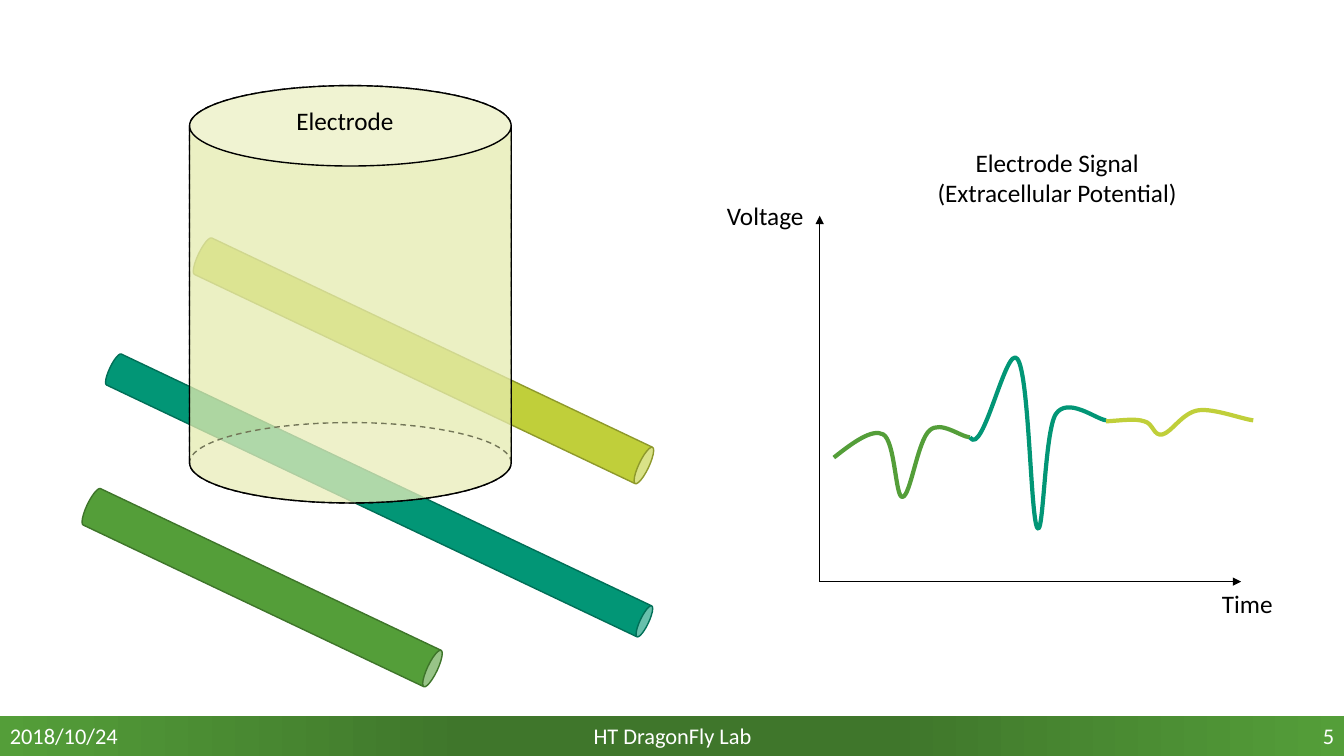
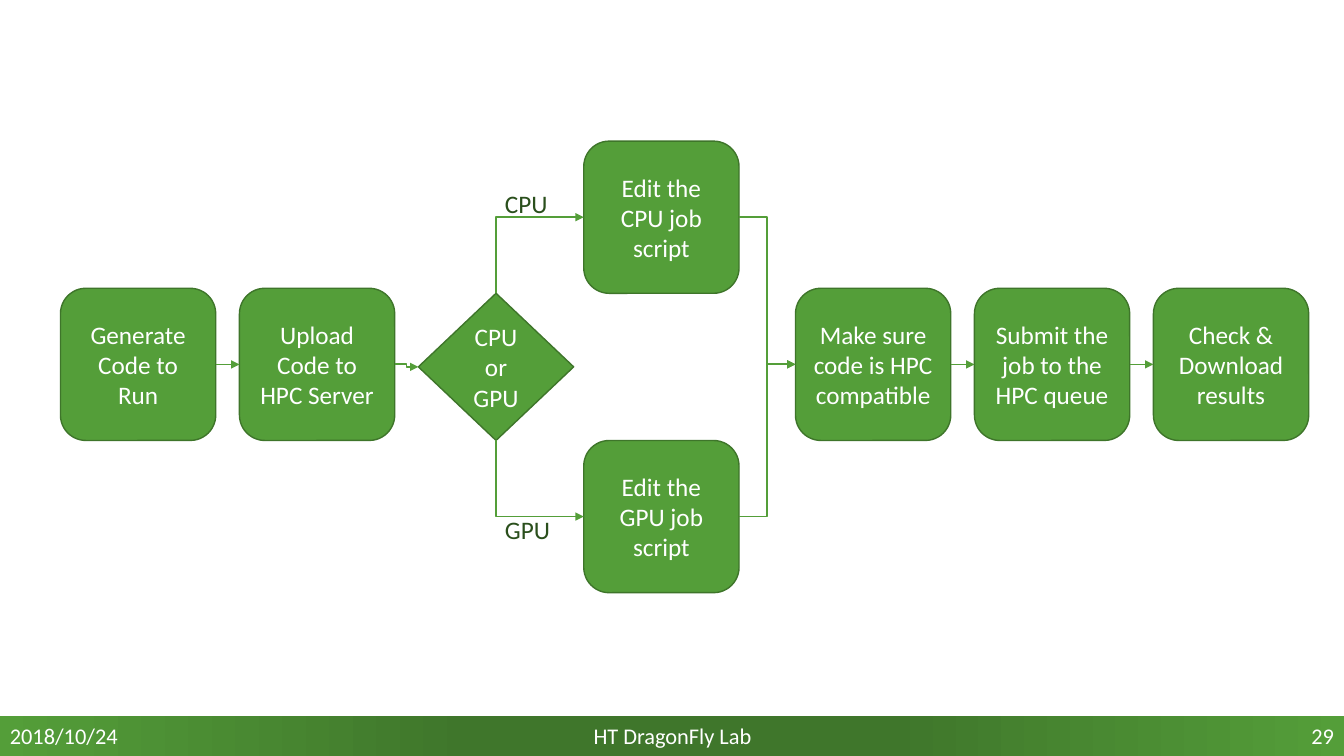
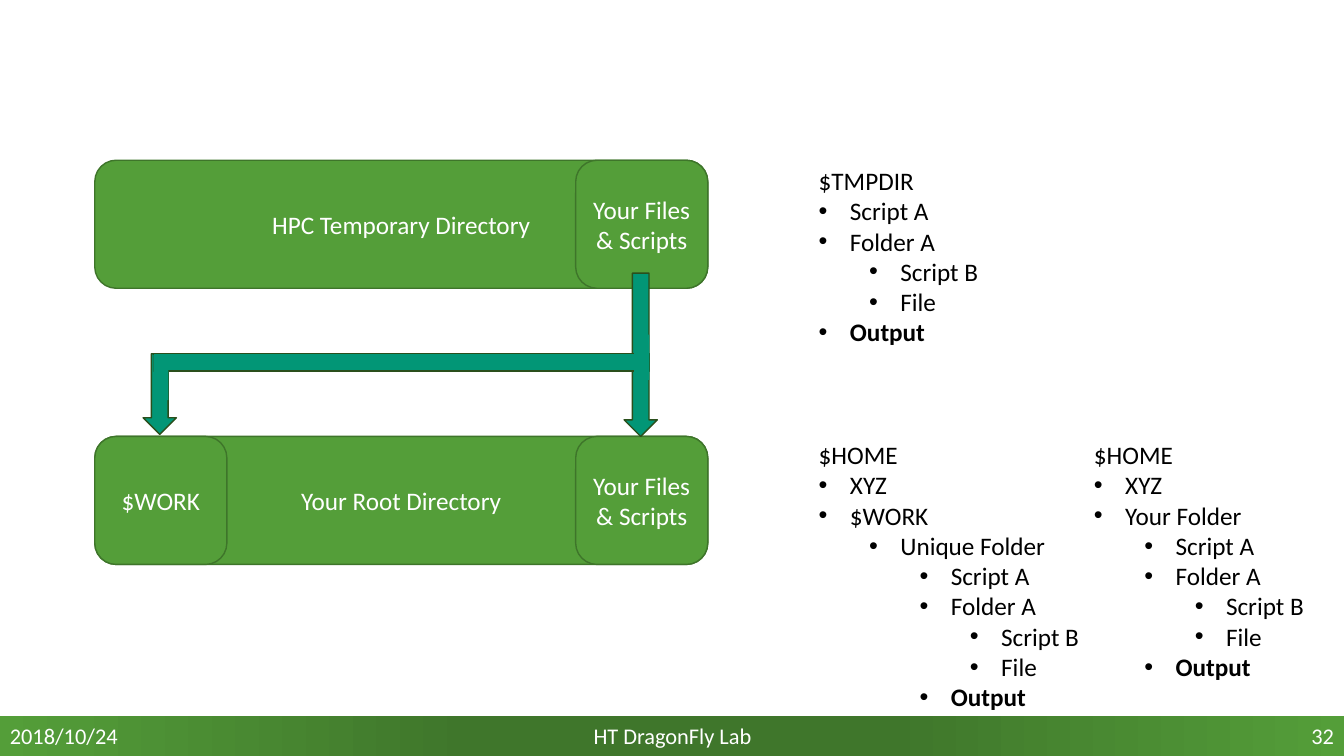
import dataclasses
import typing

import lxml.etree
import pptx
import pptx.dml.color
import pptx.enum.dml
import pptx.enum.shapes
import pptx.enum.text
import pptx.oxml.ns
import pptx.util

RGB = pptx.dml.color.RGBColor
GREEN = RGB(0x54, 0x9E, 0x39)
GREEN_EDGE = RGB(0x3E, 0x75, 0x2A)
GREEN_BAND = RGB(0x3F, 0x76, 0x2B)
GREEN_DARK = RGB(0x2A, 0x4F, 0x1C)
LIME = RGB(0xC0, 0xCF, 0x3A)
LIME_EDGE = RGB(0x8E, 0x99, 0x2B)
TEAL = RGB(0x02, 0x96, 0x76)
TEAL_EDGE = RGB(0x01, 0x6F, 0x57)
GLASS = RGB(0xE6, 0xEC, 0xB0)
BLACK = RGB(0, 0, 0)
WHITE = RGB(255, 255, 255)

FONT = "Calibri"
BODY_SIZE = 18
FOOTER_SIZE = 16
FOOTER_TOP, FOOTER_HEIGHT = 7.1, 0.4

MSO = pptx.enum.shapes.MSO_SHAPE
CXN = pptx.enum.shapes.MSO_CONNECTOR
ALIGN = pptx.enum.text.PP_ALIGN
ANCHOR = pptx.enum.text.MSO_ANCHOR
FIT = pptx.enum.text.MSO_AUTO_SIZE
TOP, LEFT, BOTTOM, RIGHT = range(4)  # connection sites of a box


class Box(typing.NamedTuple):
    x: float
    y: float
    w: float
    h: float

    def emu(self) -> list[pptx.util.Length]:
        return [pptx.util.Inches(v) for v in self]


@dataclasses.dataclass
class Fibre:
    box: Box
    fill: RGB
    edge: RGB


@dataclasses.dataclass
class Wave:
    color: RGB
    points: list[tuple[float, float]]  # start, then three per curve


@dataclasses.dataclass
class Label:
    text: str
    box: Box
    align: ALIGN = ALIGN.LEFT
    color: RGB = BLACK


@dataclasses.dataclass
class Item:
    text: str
    level: int = 0
    bold: bool = False


@dataclasses.dataclass
class Listing:
    holder: int
    box: Box
    heading: str
    items: list[Item]


def qn(tag: str) -> str:
    return pptx.oxml.ns.qn(tag)


def sub(parent, tag: str, **attrs: str):
    return lxml.etree.SubElement(parent, qn(tag), attrs)


def add_run(p, text: str, color: RGB, size: float = BODY_SIZE, bold: bool = False) -> None:
    r = p.add_run()
    r.text = text
    r.font.name, r.font.size = FONT, pptx.util.Pt(size)
    r.font.bold, r.font.color.rgb = bold, color


def add_shape(slide, kind: MSO, box: Box, fill: RGB, edge: RGB | None = None, text: str = ""):
    sp = slide.shapes.add_shape(kind, *box.emu())
    sp.shadow.inherit = False
    sp.fill.solid()
    sp.fill.fore_color.rgb = fill
    if edge is None:
        sp.line.fill.background()
    else:
        sp.line.color.rgb, sp.line.width = edge, pptx.util.Pt(1)
    if text:
        tf = sp.text_frame
        tf.word_wrap, tf.vertical_anchor = True, ANCHOR.MIDDLE
        tf.paragraphs[0].alignment = ALIGN.CENTER
        add_run(tf.paragraphs[0], text, WHITE)
    return sp


def add_label(slide, label: Label, size: float = BODY_SIZE, anchor: ANCHOR = ANCHOR.TOP) -> None:
    tf = slide.shapes.add_textbox(*label.box.emu()).text_frame
    tf.word_wrap, tf.vertical_anchor = True, anchor
    tf.paragraphs[0].alignment = label.align
    add_run(tf.paragraphs[0], label.text, label.color, size)


def style_connector(cxn, color: RGB, width: float, arrow: str = "a:tailEnd") -> None:
    cxn.line.color.rgb, cxn.line.width = color, pptx.util.Pt(width)
    sub(cxn.line._get_or_add_ln(), arrow, type="triangle")
    sub(cxn.element.spPr, "a:effectLst")


# Shared band and footer

def add_master_band(prs, slide) -> None:
    """Draw the gradient band and move it to the slide master."""
    sp = add_shape(slide, MSO.RECTANGLE, Box(0, FOOTER_TOP, 13.33, FOOTER_HEIGHT), GREEN)
    sp.width = prs.slide_width
    sp.fill.gradient()
    sp.fill.gradient_angle = 0
    stops = sp.element.spPr.find(".//" + qn("a:gsLst"))
    for stop in list(stops):
        stops.remove(stop)
    for pos, color in ((0, GREEN), (35, GREEN_BAND), (66, GREEN_BAND), (100, GREEN)):
        sub(sub(stops, "a:gs", pos=str(pos * 1000)), "a:srgbClr", val=str(color))
    next(sp.element.iter(qn("p:cNvPr"))).set("id", "20")
    prs.slide_master.shapes.element.insert(2, sp.element)


def add_footer(slide, number: int) -> None:
    for text, x, w, align in (
        ("2018/10/24", 0, 3, ALIGN.LEFT),
        ("HT DragonFly Lab", 4.42, 4.5, ALIGN.CENTER),
        (str(number), 10.33, 3, ALIGN.RIGHT),
    ):
        box = Box(x, FOOTER_TOP, w, FOOTER_HEIGHT)
        add_label(slide, Label(text, box, align, WHITE), FOOTER_SIZE, ANCHOR.MIDDLE)


# Slide: electrode signal

FIBRES = [
    Fibre(Box(2.4, 3.91, 0.4, 3.84), GREEN, GREEN_EDGE),
    Fibre(Box(4, 1.11, 0.4, 4.94), LIME, LIME_EDGE),
    Fibre(Box(3.59, 1.96, 0.34, 5.91), TEAL, TEAL_EDGE),
]
WAVES = [
    Wave(GREEN, [(8.27, 4.54), (8.46, 4.39), (8.65, 4.25), (8.76, 4.31),
                 (8.88, 4.38), (8.88, 4.94), (8.95, 4.93), (9.03, 4.93), (9.1, 4.37),
                 (9.22, 4.27), (9.33, 4.17), (9.52, 4.33), (9.62, 4.34)]),
    Wave(TEAL, [(9.62, 4.34), (9.75, 4.54), (9.98, 3.41), (10.09, 3.56),
                (10.21, 3.71), (10.22, 5.15), (10.29, 5.24), (10.35, 5.33), (10.36, 4.29),
                (10.47, 4.11), (10.59, 3.93), (10.87, 4.16), (10.97, 4.17)]),
    Wave(LIME, [(10.97, 4.18), (11.14, 4.17), (11.26, 4.15), (11.35, 4.18),
                (11.44, 4.2), (11.44, 4.33), (11.53, 4.31), (11.62, 4.29), (11.73, 4.09),
                (11.89, 4.07), (12.04, 4.05), (12.33, 4.16), (12.43, 4.17)]),
]
SIGNAL_LABELS = [
    Label("Electrode", Box(2.84, 1, 1.58, 0.4)),
    Label("Electrode Signal (Extracellular Potential)", Box(8.95, 1.41, 3.07, 0.71), ALIGN.CENTER),
    Label("Time", Box(12.02, 5.79, 0.78, 0.4)),
    Label("Voltage", Box(7.11, 1.94, 1.02, 0.4)),
]


def add_wave(slide, wave: Wave) -> None:
    start, *rest = [tuple(pptx.util.Inches(v) for v in pt) for pt in wave.points]
    builder = slide.shapes.build_freeform(*start)
    builder.add_line_segments(rest, close=False)
    sp = builder.convert_to_shape()
    sp.shadow.inherit = False
    sp.fill.background()
    sp.line.color.rgb, sp.line.width = wave.color, pptx.util.Pt(3)
    # Join every three segments into one Bezier curve
    outline = next(sp.element.iter(qn("a:path")))
    segments = outline.findall(qn("a:lnTo"))
    for i in range(0, len(segments), 3):
        curve = sub(outline, "a:cubicBezTo")
        for segment in segments[i:i + 3]:
            curve.append(segment[0])
            outline.remove(segment)


def draw_signal(slide) -> None:
    for fibre in FIBRES:
        add_shape(slide, MSO.CAN, fibre.box, fibre.fill, fibre.edge).rotation = 115.4

    # Electrode: dashed far edge, then solid near edge
    for far in (True, False):
        sp = add_shape(slide, MSO.CAN, Box(1.88, 0.85, 3.19, 4.14), GLASS, BLACK)
        sub(sp.element.spPr.find(".//" + qn("a:srgbClr")), "a:alpha", val="50000")
        if far:
            sp.line.dash_style = pptx.enum.dml.MSO_LINE.DASH
            sp.element.spPr.find(qn("a:xfrm")).set("flipV", "1")

    # Axes and signal
    for x, y in ((8.13, 2.14), (12.31, 5.77)):
        ends = [pptx.util.Inches(v) for v in (8.13, 5.77, x, y)]
        style_connector(slide.shapes.add_connector(CXN.STRAIGHT, *ends), BLACK, 0.5)
    for wave in WAVES:
        add_wave(slide, wave)
    for label in SIGNAL_LABELS:
        add_label(slide, label)


# Slide: job workflow

STEP_W, STEP_H, STEP_PITCH = 1.54, 1.51, 1.775
STEP_Y = 2.86


def add_step(slide, text: str, x: float, y: float = STEP_Y):
    box = Box(x, y, STEP_W, STEP_H)
    return add_shape(slide, MSO.FLOWCHART_ALTERNATE_PROCESS, box, GREEN, GREEN_EDGE, text)


def link(slide, start, start_site: int, end, end_site: int, corner: bool = False) -> None:
    """Join two boxes; a corner link bends once and points at its start."""
    cxn = slide.shapes.add_connector(CXN.ELBOW, 0, 0, 0, 0)
    cxn.begin_connect(start, start_site)
    cxn.end_connect(end, end_site)
    if corner:
        cxn.element.spPr.find(qn("a:prstGeom")).set("prst", "bentConnector2")
    style_connector(cxn, GREEN, 1.25, "a:headEnd" if corner else "a:tailEnd")


def draw_workflow(slide) -> None:
    generate, upload = [
        add_step(slide, text, 0.6 + i * STEP_PITCH)
        for i, text in enumerate(("Generate Code to Run", "Upload Code to HPC Server"))
    ]
    choice = add_shape(slide, MSO.FLOWCHART_DECISION, Box(4.15, 2.91, STEP_W, 1.46),
                       GREEN, GREEN_EDGE, "CPU or GPU")
    check, submit, download = [
        add_step(slide, text, 7.89 + i * STEP_PITCH)
        for i, text in enumerate(("Make sure code is HPC compatible",
                                  "Submit the job to the HPC queue",
                                  "Check & Download results"))
    ]
    for a, b in ((generate, upload), (upload, choice), (check, submit), (submit, download)):
        link(slide, a, RIGHT, b, LEFT)

    # Two branches
    for unit, y, site, label_y in (("CPU", 1.4, TOP, 1.82), ("GPU", 4.37, BOTTOM, 5.05)):
        edit = add_step(slide, f"Edit the {unit} job script", 5.79, y)
        link(slide, edit, LEFT, choice, site, corner=True)
        link(slide, edit, RIGHT, check, LEFT)
        add_label(slide, Label(unit, Box(4.91, label_y, 0.78, 0.4), color=GREEN_DARK))


# Slide: directories

DIR_X, DIR_W, DIR_H = 0.94, 6.08, 1.27
PART_W = 1.31
TEMP_Y, ROOT_Y = 1.59, 4.33
FILES_X = DIR_X + DIR_W - PART_W
FILES = "Your Files & Scripts"
DIRECTORIES = [
    ("HPC Temporary Directory", Box(DIR_X, TEMP_Y, DIR_W, DIR_H)),
    ("Your Root Directory", Box(DIR_X, ROOT_Y, DIR_W, DIR_H)),
    ("$WORK", Box(DIR_X, ROOT_Y, PART_W, DIR_H)),
    (FILES, Box(FILES_X, ROOT_Y, PART_W, DIR_H)),
    (FILES, Box(FILES_X, TEMP_Y, PART_W, DIR_H)),
]
COPY_ARROWS = [
    (MSO.DOWN_ARROW, Box(6.19, 2.71, 0.33, 1.62), GREEN_DARK),
    (MSO.DOWN_ARROW, Box(1.42, 3.51, 0.33, 0.8), GREEN_DARK),
    (MSO.RECTANGLE, Box(1.52, 3.51, 4.92, 0.17), GREEN_DARK),
    (MSO.RECTANGLE, Box(6.29, 3.32, 0.15, 0.45), None),  # hide the seams
    (MSO.RECTANGLE, Box(1.52, 3.52, 0.15, 0.45), None),
]


def job_items(level: int) -> list[Item]:
    return [Item("Script A", level), Item("Folder A", level), Item("Script B", level + 1),
            Item("File", level + 1), Item("Output", level, bold=True)]


LISTINGS = [
    Listing(1, Box(8.02, 1.59, 2.57, 1.92), "$TMPDIR", job_items(0)),
    Listing(2, Box(8.02, 4.31, 2.95, 2.83), "$HOME",
            [Item("XYZ"), Item("$WORK"), Item("Unique Folder", 1), *job_items(2)]),
    Listing(4, Box(10.75, 4.31, 2.32, 2.52), "$HOME",
            [Item("XYZ"), Item("Your Folder"), *job_items(1)]),
]


def fill_listing(sp, listing: Listing) -> None:
    sp.left, sp.top, sp.width, sp.height = listing.box.emu()
    tf = sp.text_frame
    tf.word_wrap, tf.vertical_anchor, tf.auto_size = True, ANCHOR.TOP, FIT.NONE
    for i, item in enumerate([Item(listing.heading), *listing.items]):
        p = tf.add_paragraph() if i else tf.paragraphs[0]
        p.level, p.alignment = item.level, ALIGN.LEFT
        p.space_before, p.line_spacing = pptx.util.Pt(0), 1.0
        pPr = p._p.get_or_add_pPr()
        indent = pptx.util.Inches(0.31) if i else 0
        pPr.set("marL", str(indent + pptx.util.Inches(item.level * 0.5)))
        pPr.set("indent", str(-indent))
        if i:
            sub(pPr, "a:buFont", typeface="Arial")
            sub(pPr, "a:buChar", char="•")
        else:
            sub(pPr, "a:buNone")
        add_run(p, item.text, BLACK, bold=item.bold)


def draw_directories(slide) -> None:
    for text, box in DIRECTORIES:
        add_shape(slide, MSO.ROUNDED_RECTANGLE, box, GREEN, GREEN_EDGE, text)
    for kind, box, edge in COPY_ARROWS:
        add_shape(slide, kind, box, TEAL, edge)

    listings = {listing.holder: listing for listing in LISTINGS}
    for sp in list(slide.placeholders):
        listing = listings.get(sp.placeholder_format.idx)
        if listing:
            fill_listing(sp, listing)
        else:
            sp.element.getparent().remove(sp.element)


def main() -> None:
    prs = pptx.Presentation()
    prs.slide_width, prs.slide_height = pptx.util.Inches(13.33), pptx.util.Inches(7.5)
    blank, comparison = prs.slide_layouts[6], prs.slide_layouts[4]
    for i, (layout, number, draw) in enumerate((
        (blank, 5, draw_signal),
        (blank, 29, draw_workflow),
        (comparison, 32, draw_directories),
    )):
        slide = prs.slides.add_slide(layout)
        if i == 0:
            add_master_band(prs, slide)
        draw(slide)
        add_footer(slide, number)
    prs.save("out.pptx")


if __name__ == "__main__":
    main()
